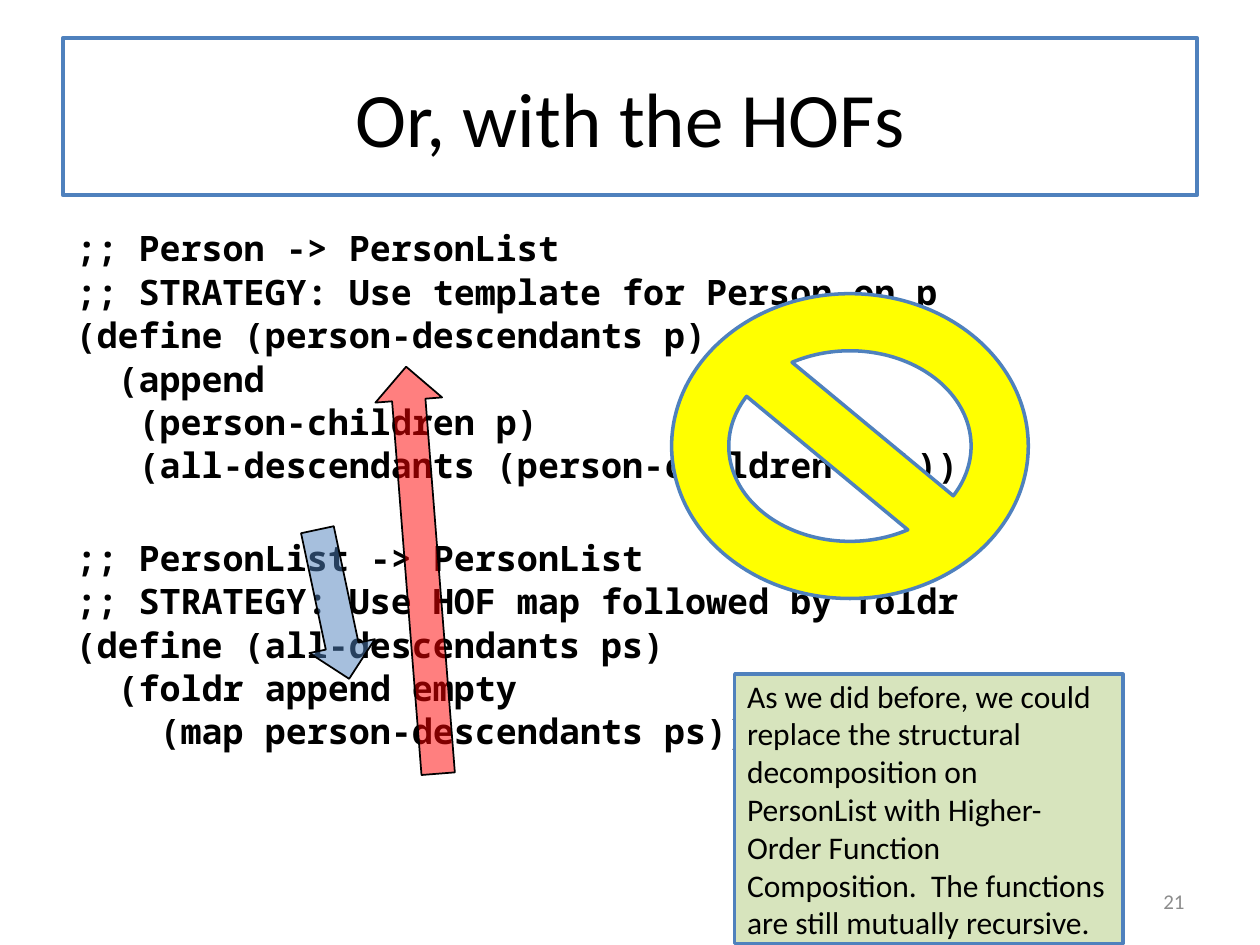
from lxml.etree import SubElement
from pptx import Presentation
from pptx.dml.color import RGBColor
from pptx.enum.shapes import MSO_SHAPE as Preset
from pptx.enum.text import MSO_ANCHOR as Anchor, MSO_AUTO_SIZE as AutoSize, PP_ALIGN as Align
from pptx.oxml.ns import qn
from pptx.util import Pt

BLACK = RGBColor(0x00, 0x00, 0x00)
WHITE = RGBColor(0xFF, 0xFF, 0xFF)
GRAY = RGBColor(0x8C, 0x8C, 0x8C)
BLUE = RGBColor(0x4F, 0x81, 0xBD)
RED = RGBColor(0xFF, 0x00, 0x00)
GREEN = RGBColor(0xD7, 0xE4, 0xBD)
YELLOW = RGBColor(0xFF, 0xFF, 0x00)

LINE_GAP = 0.8
BLOCK_GAP = 28.8
HANGING = Pt(27)

PERSON_CODE = """;; Person -> PersonList
;; STRATEGY: Use template for Person on p
(define (person-descendants p)
  (append
   (person-children p)
   (all-descendants (person-children p))))"""

LIST_CODE = """;; PersonList -> PersonList
;; STRATEGY: Use HOF map followed by foldr
(define (all-descendants ps)
  (foldr append empty
    (map person-descendants ps)))"""

NOTE = (
    "As we did before, we could replace the structural decomposition on "
    "PersonList with Higher-Order Function Composition.  The functions are "
    "still mutually recursive."
)


def place(shape, left, top, width, height):
    """Move and size a shape, in points."""
    shape.left, shape.top = Pt(left), Pt(top)
    shape.width, shape.height = Pt(width), Pt(height)


def paint(shape, fill, line, weight):
    """Give a shape a solid fill and an outline."""
    shape.fill.solid()
    shape.fill.fore_color.rgb = fill
    shape.line.color.rgb = line
    shape.line.width = Pt(weight)


def style(para, size, align, color=BLACK, name="Calibri", bold=False):
    """Format a paragraph and its runs."""
    para.alignment = align
    for span in para.runs:
        font = span.font
        font.name, font.size, font.bold = name, Pt(size), bold
        font.color.rgb = color


def add_preset(page, preset, bounds, fill, line, weight):
    """Add a painted preset shape without a shadow."""
    shape = page.shapes.add_shape(preset, *map(Pt, bounds))
    shape.shadow.inherit = False
    paint(shape, fill, line, weight)
    return shape


def add_arrow(page, bounds, angle, fill):
    """Add a turned, half transparent block arrow."""
    arrow = add_preset(page, Preset.RIGHT_ARROW, bounds, fill, BLACK, 1)
    arrow.rotation = angle
    color = arrow.fill._xPr.find(qn("a:solidFill")).find(qn("a:srgbClr"))
    SubElement(color, qn("a:alpha"), val="50000")


def fill_title(title):
    """Write the framed slide title."""
    place(title, 36, 21.6, 648, 90)
    paint(title, WHITE, BLUE, 2.25)
    title.text_frame.text = "Or, with the HOFs"
    title.text_frame.vertical_anchor = Anchor.MIDDLE
    style(title.text_frame.paragraphs[0], 44, Align.CENTER)


def fill_code(body, blocks):
    """Write blocks of code, one paragraph a line, with a gap between blocks."""
    place(body, 36, 126, 648, 356.4)
    frame = body.text_frame
    frame.text = "\n".join(blocks)
    frame.auto_size = AutoSize.NONE
    gaps = [
        LINE_GAP if number else BLOCK_GAP
        for block in blocks
        for number, _ in enumerate(block.splitlines())
    ]
    gaps[0] = 0
    for para, gap in zip(frame.paragraphs, gaps):
        para.space_before = Pt(gap)
        properties = para._p.get_or_add_pPr()
        properties.set("marL", str(HANGING))
        properties.set("indent", str(-HANGING))
        SubElement(properties, qn("a:buNone"))
        style(para, 20, Align.LEFT, name="Noto Sans Mono", bold=True)


def add_page_number(page, number):
    """Add the page number at the lower right."""
    box = page.shapes.add_textbox(*map(Pt, (516, 500.4, 168, 28.8)))
    frame = box.text_frame
    frame.word_wrap = True
    frame.vertical_anchor = Anchor.MIDDLE
    frame.text = number
    style(frame.paragraphs[0], 12, Align.RIGHT, GRAY)


def add_note(page, text):
    """Add the green note box."""
    note = add_preset(
        page, Preset.RECTANGLE, (419.8, 385.2, 221.8, 154), GREEN, BLUE, 2
    )
    frame = note.text_frame
    frame.word_wrap = True
    frame.vertical_anchor = Anchor.MIDDLE
    frame.text = text
    style(frame.paragraphs[0], 18, Align.LEFT)


def main():
    """Build the slide and save it."""
    deck = Presentation()
    deck.slide_width, deck.slide_height = Pt(720), Pt(540)
    page = deck.slides.add_slide(deck.slide_layouts[1])
    fill_title(page.shapes.title)
    fill_code(page.placeholders[1], [PERSON_CODE, LIST_CODE])
    add_page_number(page, "21")
    add_arrow(page, (146.9, 326.2, 87.1, 38.2), 78, BLUE)
    add_arrow(page, (124.6, 306.7, 233.3, 38.2), 265.5, RED)
    add_note(page, NOTE)
    add_preset(
        page, Preset.NO_SYMBOL, (383.8, 167.8, 203.8, 174.2), YELLOW, BLUE, 2
    )
    deck.save("out.pptx")


if __name__ == "__main__":
    main()
